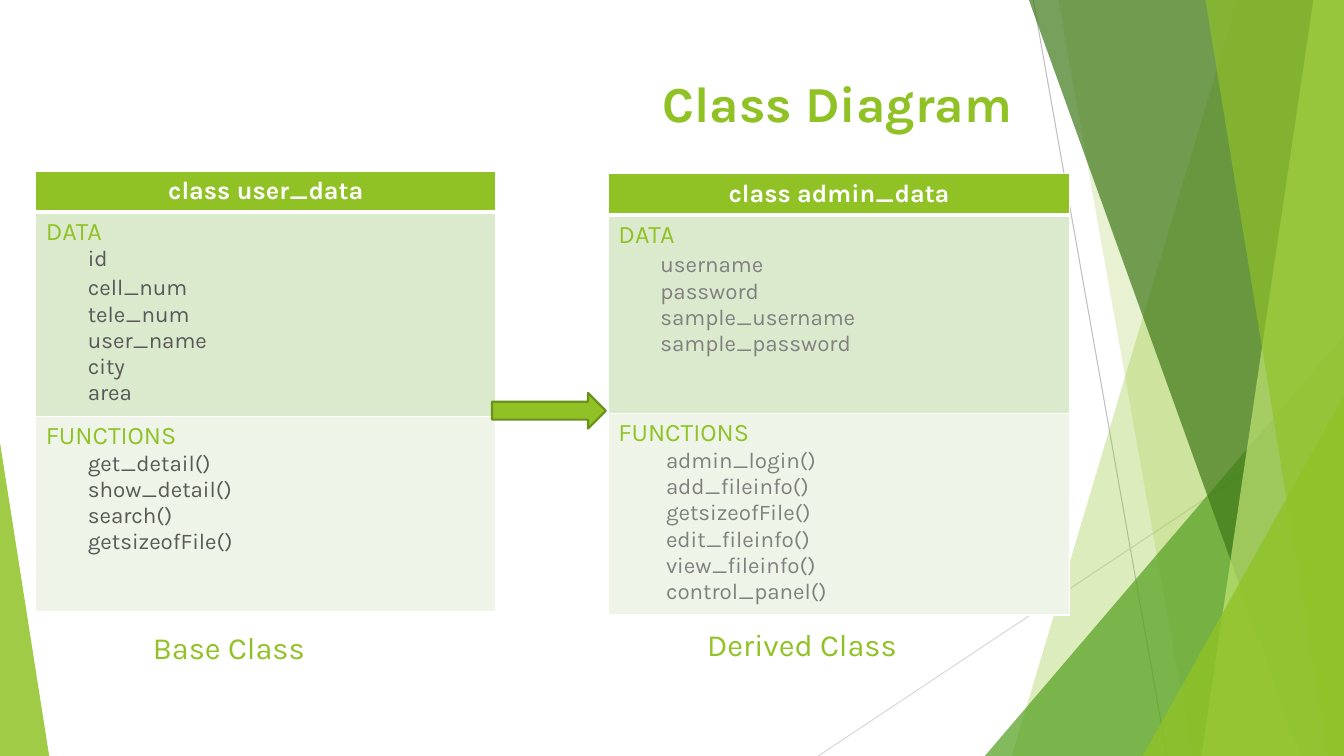
import pptx
import pptx.dml.color
import pptx.enum.shapes
import pptx.enum.text
import pptx.oxml
import pptx.oxml.ns
import pptx.util
from dataclasses import dataclass
from pptx.util import Cm, Pt


@dataclass(frozen=True)
class Theme:
    font: str = "Karla"
    green: str = "90C226"
    leaf: str = "54A021"
    dark: str = "3F7819"
    lime: str = "C0E474"
    edge: str = "6B901C"
    white: str = "FFFFFF"
    data: str = "DBE9CD"
    func: str = "EEF4E8"
    gray: str = "808080"
    ink: str = "595959"
    title: int = 36
    label: int = 22
    head: int = 18
    item: int = 16


T = Theme()
WIDE, HIGH = 33.87, 19.05

LINES = [((26.04, 0), (29.41, HIGH), "BFBFBF"),
         ((WIDE, 10.24), (20.62, HIGH), "D9D9D9")]

DECOR = [
    ("band", (31.19, 25.5), T.green, 30),
    ("band", (26.67, 30.05), T.green, 20),
    ("peak", (24.82, 8.46, 9.05, 1), T.leaf, 72),
    ("band", (25.93, 32.79), T.dark, 70),
    ("band", (33.1, 30.28), T.lime, 70),
    ("band", (30.38, 33.48), T.green, 65),
    ("peak", (28.8, 9.98, 5.07, 1), T.green, 80),
    ("peak", (0, 11.15, 1.24, 0), T.green, 85),
]

TITLE = ("Class Diagram", (1.88, 1.7, 23.88, 3.66))

CLASSES = [
    {"name": "class admin_data", "at": (15.33, 4.38, 11.63), "ink": T.gray,
     "rows": (1.04, 5.0, 4.93),
     "parts": [
         ("DATA", 1.06, "username",
          ["username", "password", "sample_username", "sample_password"]),
         ("FUNCTIONS", 1.2, None,
          ["admin_login()", "add_fileinfo()", "getsizeofFile()",
           "edit_fileinfo()", "view_fileinfo()", "control_panel()"])]},
    {"name": "class user_data", "at": (0.9, 4.32, 11.6), "ink": T.ink,
     "rows": (0.98, 5.03, 4.92),
     "parts": [
         ("DATA", 1.06, "cell_num",
          ["id", "cell_num", "tele_num", "user_name", "city", "area"]),
         ("FUNCTIONS", 1.06, None,
          ["get_detail()", "show_detail()", "search()", "getsizeofFile()"])]},
]

ARROW = (12.4, 9.9, 2.87, 0.9)

LABELS = [("Base Class", (2.82, 15.77, 5.89, 1.14)),
          ("Derived Class", (16.92, 15.7, 6.58, 1.04))]


def tint(fill, color, alpha=None):
    fill.solid()
    fill.fore_color.rgb = pptx.dml.color.RGBColor.from_string(color)
    if alpha is not None:
        node = fill._xPr.find(".//" + pptx.oxml.ns.qn("a:srgbClr"))
        node.append(pptx.oxml.parse_xml(
            f'<a:alpha {pptx.oxml.ns.nsdecls("a")} val="{alpha * 1000}"/>'))


def write(para, text, size, color, bold=False, align=None):
    para.text = text
    para.alignment = align
    font = para.font
    font.name, font.size, font.bold = T.font, Pt(size), bold
    font.color.rgb = pptx.dml.color.RGBColor.from_string(color)


def border(cell, base):
    props = cell._tc.get_or_add_tcPr()
    sides = [("L", 1), ("R", 1), ("T", 1), ("B", base)]
    for spot, (side, width) in enumerate(sides):
        props.insert(spot, pptx.oxml.parse_xml(
            f'<a:ln{side} {pptx.oxml.ns.nsdecls("a")} w="{Pt(width)}">'
            f'<a:solidFill><a:srgbClr val="{T.white}"/></a:solidFill></a:ln{side}>'))


def grid(slide, left, top, width, rows):
    frame = slide.shapes.add_table(
        len(rows), 1, Cm(left), Cm(top), Cm(width), Cm(sum(rows)))
    table = frame.table
    table.first_row = table.horz_banding = False
    for row, height in zip(table.rows, rows):
        row.height = Cm(height)
    return [row.cells[0] for row in table.rows]


def draw_lines(slide):
    for start, end, color in LINES:
        line = slide.shapes.add_connector(
            pptx.enum.shapes.MSO_CONNECTOR.STRAIGHT,
            *[Cm(v) for v in start + end])
        tint(line.line.fill, color)
        line.line.width = Pt(0.75)
        line._element.spPr.append(pptx.oxml.parse_xml(
            f'<a:effectLst {pptx.oxml.ns.nsdecls("a")}/>'))


def draw_decor(slide):
    for kind, place, color, alpha in DECOR:
        if kind == "band":
            top, base = place
            form = slide.shapes.build_freeform(Cm(top), 0, scale=1.0)
            form.add_line_segments(
                [(Cm(x), Cm(y)) for x, y in
                 [(WIDE, 0), (WIDE, HIGH), (base, HIGH)]], close=True)
            shape = form.convert_to_shape()
        else:
            left, top, width, tip = place
            shape = slide.shapes.add_shape(
                pptx.enum.shapes.MSO_SHAPE.ISOSCELES_TRIANGLE,
                *[Cm(v) for v in (left, top, width, HIGH - top)])
            shape.adjustments[0] = tip
        shape.shadow.inherit = False
        shape.line.fill.background()
        tint(shape.fill, color, alpha)


def draw_class(slide, model):
    cells = grid(slide, *model["at"], model["rows"])
    for cell, color, base in zip(cells, (T.green, T.data, T.func), (3, 1, 1)):
        tint(cell.fill, color)
        border(cell, base)
    write(cells[0].text_frame.paragraphs[0], model["name"], T.head, T.white,
          True, pptx.enum.text.PP_ALIGN.CENTER)
    for cell, (head, indent, loose, items) in zip(cells[1:], model["parts"]):
        frame = cell.text_frame
        write(frame.paragraphs[0], head, T.head, T.green)
        for item in items:
            para = frame.add_paragraph()
            para._p.get_or_add_pPr().set("marL", str(Cm(indent)))
            write(para, item, T.item, model["ink"])
            if item == loose:
                para.space_before = Pt(2)


def main():
    deck = pptx.Presentation()
    deck.slide_width, deck.slide_height = Cm(WIDE), Cm(HIGH)
    slide = deck.slides.add_slide(deck.slide_layouts[6])
    draw_lines(slide)
    draw_decor(slide)

    text, place = TITLE
    frame = slide.shapes.add_textbox(*[Cm(v) for v in place]).text_frame
    frame.word_wrap = True
    write(frame.paragraphs[0], text, T.title, T.green, True,
          pptx.enum.text.PP_ALIGN.RIGHT)

    for model in CLASSES:
        draw_class(slide, model)

    arrow = slide.shapes.add_shape(
        pptx.enum.shapes.MSO_SHAPE.RIGHT_ARROW, *[Cm(v) for v in ARROW])
    arrow.shadow.inherit = False
    tint(arrow.fill, T.green)
    tint(arrow.line.fill, T.edge)
    arrow.line.width = Pt(1.5)

    for text, (left, top, width, height) in LABELS:
        cell = grid(slide, left, top, width, [height])[0]
        cell.fill.background()
        write(cell.text_frame.paragraphs[0], text, T.label, T.green,
              align=pptx.enum.text.PP_ALIGN.CENTER)
    deck.save("out.pptx")


if __name__ == "__main__":
    main()
